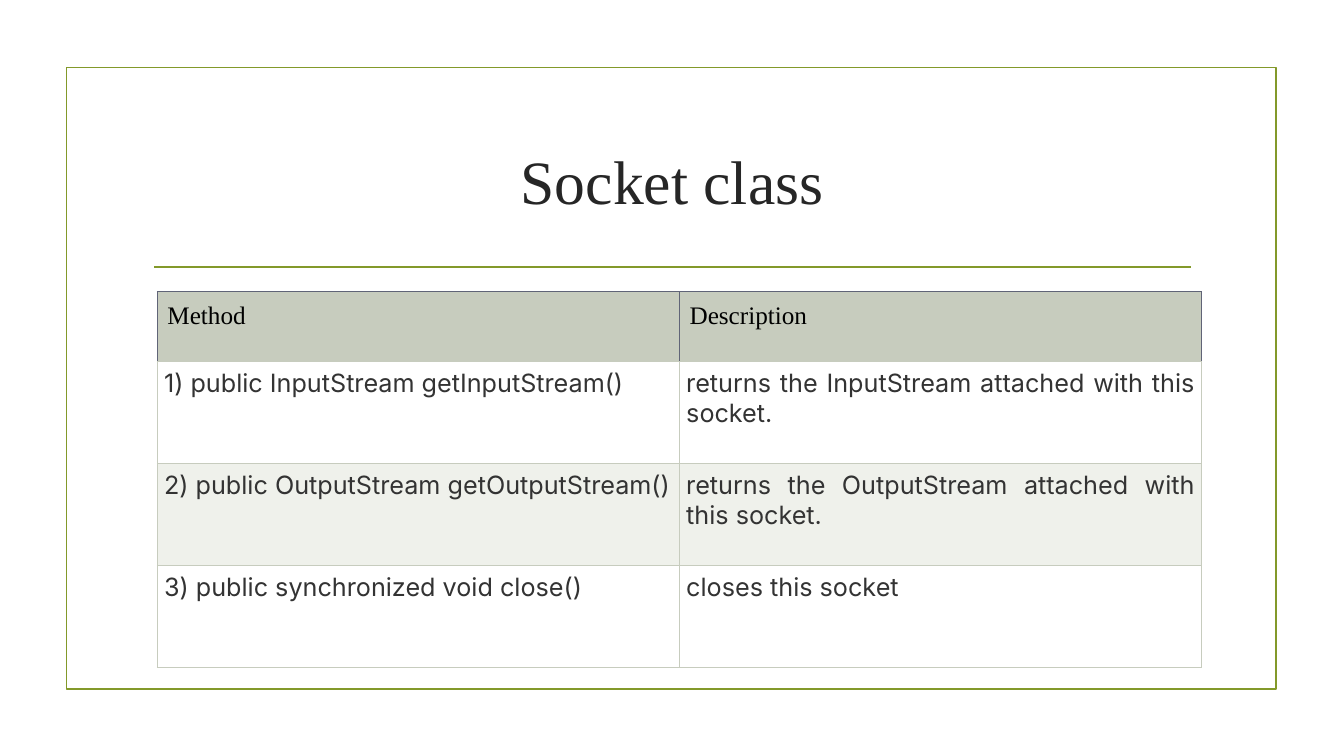
from lxml import etree
from pptx import Presentation
from pptx.dml.color import RGBColor
from pptx.enum import shapes, text
from pptx.oxml import ns
from pptx.util import Pt

OLIVE = RGBColor(0x83, 0x99, 0x2A)
SAGE = RGBColor(0xC7, 0xCC, 0xBE)
PALE_SAGE = RGBColor(0xEF, 0xF1, 0xEB)
SLATE = RGBColor(0x60, 0x64, 0x77)
WHITE = RGBColor(0xFF, 0xFF, 0xFF)
BLACK = RGBColor(0x00, 0x00, 0x00)
TITLE_GREY = RGBColor(0x26, 0x26, 0x26)
BODY_GREY = RGBColor(0x33, 0x33, 0x33)

SERIF = "Times New Roman"
SANS = "Inter"

METHODS = [
    ("Method", "Description"),
    ("1) public InputStream getInputStream()",
     "returns the InputStream attached with this socket."),
    ("2) public OutputStream getOutputStream()",
     "returns the OutputStream attached with this socket."),
    ("3) public synchronized void close()", "closes this socket"),
]


def write_text(text_frame, words, font_name, size, color, alignment):
    text_frame.text = words
    paragraph = text_frame.paragraphs[0]
    paragraph.alignment = alignment
    font = paragraph.runs[0].font
    font.name = font_name
    font.size = Pt(size)
    font.color.rgb = color


def add_frame(slide):
    frame = slide.shapes.add_shape(
        shapes.MSO_SHAPE.RECTANGLE, Pt(47.5), Pt(48.2), Pt(864), Pt(444))
    frame.shadow.inherit = False
    frame.fill.background()
    frame.line.color.rgb = OLIVE
    frame.line.width = Pt(1.25)


def add_rule(slide):
    rule = slide.shapes.add_connector(
        shapes.MSO_CONNECTOR.STRAIGHT, Pt(110.2), Pt(190.8), Pt(850.4), Pt(190.8))
    rule.line.color.rgb = OLIVE
    rule.line.width = Pt(1.25)
    etree.SubElement(rule._element.spPr, ns.qn("a:effectLst"))


def add_title(slide, words):
    title = slide.shapes.add_textbox(Pt(102.2), Pt(77), Pt(756), Pt(103))
    title.text_frame.word_wrap = True
    title.text_frame.vertical_anchor = text.MSO_ANCHOR.MIDDLE
    write_text(title.text_frame, words, SERIF, 44, TITLE_GREY, text.PP_ALIGN.CENTER)


def set_borders(cell, side_color, top_color, bottom_color):
    properties = cell._tc.get_or_add_tcPr()
    colors = {"L": side_color, "R": side_color, "T": top_color, "B": bottom_color}
    for side, color in colors.items():
        line = etree.SubElement(properties, ns.qn(f"a:ln{side}"), w=str(Pt(0.6)))
        fill = etree.SubElement(line, ns.qn("a:solidFill"))
        etree.SubElement(fill, ns.qn("a:srgbClr"), val=str(color))


def style_cell(cell, fill_color, margin):
    cell.fill.solid()
    cell.fill.fore_color.rgb = fill_color
    cell.margin_left = cell.margin_right = Pt(margin)
    cell.margin_top = cell.margin_bottom = Pt(margin)


def fill_header_cell(cell, words):
    set_borders(cell, SLATE, SLATE, SAGE)
    style_cell(cell, SAGE, 7.2)
    write_text(cell.text_frame, words, SERIF, 18, BLACK, text.PP_ALIGN.LEFT)


def fill_body_cell(cell, words, fill_color):
    set_borders(cell, SAGE, SAGE, SAGE)
    style_cell(cell, fill_color, 4.8)
    write_text(cell.text_frame, words, SANS, 18, BODY_GREY, text.PP_ALIGN.JUSTIFY)


def add_method_table(slide):
    table = slide.shapes.add_table(
        len(METHODS), 2, Pt(112.4), Pt(208.2), Pt(746), Pt(268.5)).table
    for column in table.columns:
        column.width = Pt(373)
    for index, entries in enumerate(METHODS):
        table.rows[index].height = Pt(72.9 if index else 49.8)
        for cell, words in zip(table.rows[index].cells, entries):
            if index == 0:
                fill_header_cell(cell, words)
            else:
                fill_body_cell(cell, words, WHITE if index % 2 else PALE_SAGE)


def main():
    presentation = Presentation()
    presentation.slide_width = Pt(960)
    presentation.slide_height = Pt(540)
    slide = presentation.slides.add_slide(presentation.slide_layouts[6])
    add_frame(slide)
    add_rule(slide)
    add_title(slide, "Socket class")
    add_method_table(slide)
    presentation.save("out.pptx")


if __name__ == "__main__":
    main()
